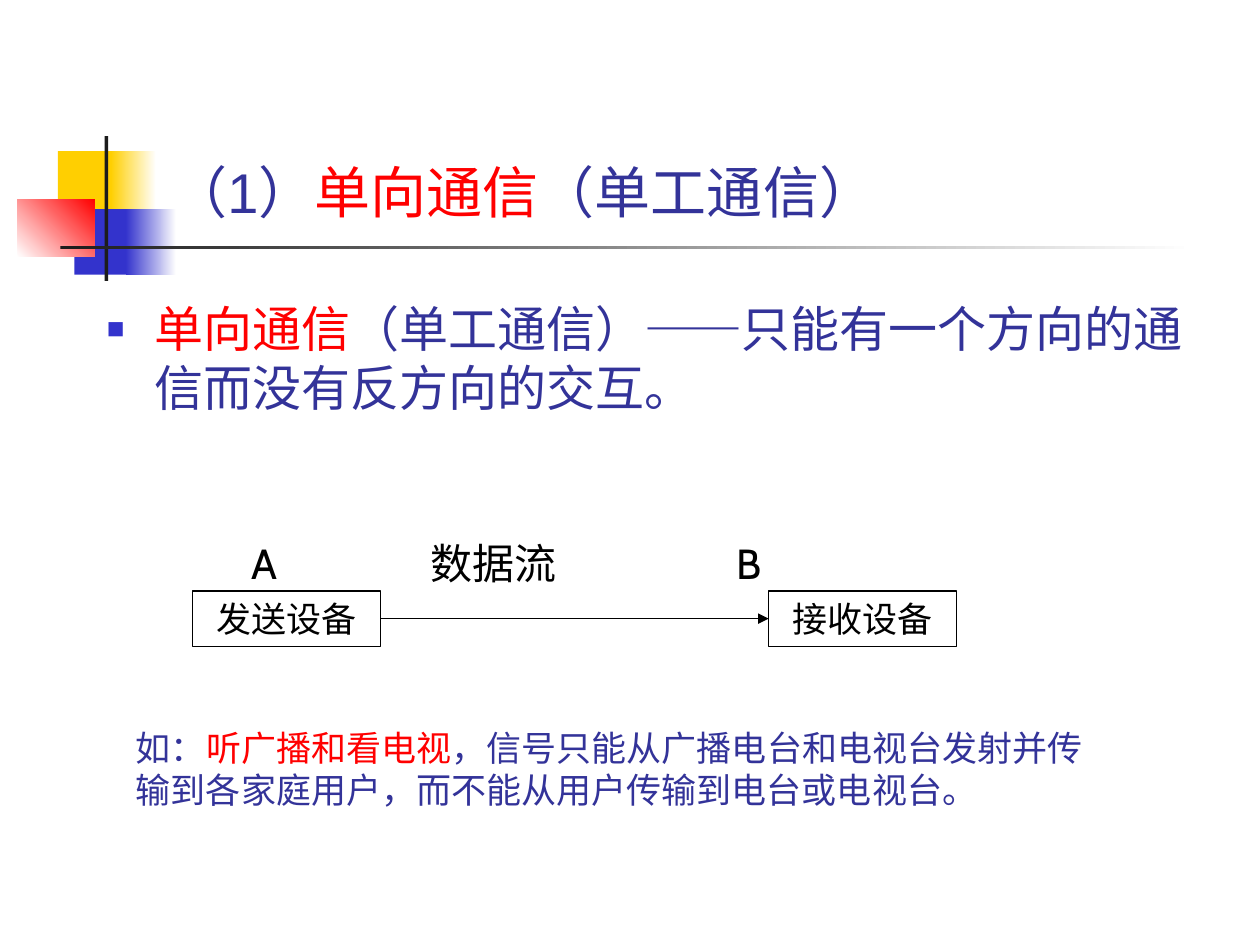
from typing import NamedTuple, Optional

from lxml.etree import SubElement
from pptx import Presentation
from pptx.dml.color import RGBColor
from pptx.enum.shapes import MSO_CONNECTOR, MSO_SHAPE
from pptx.enum.text import MSO_ANCHOR, MSO_AUTO_SIZE, PP_ALIGN
from pptx.oxml.ns import qn
from pptx.util import Inches, Pt

COLORS = {
    "yellow": "FFCF01", "blue": "3333CC", "red": "FF0000", "dark": "1C1C1C",
    "white": "FFFFFF", "navy": "333399", "black": "000000",
}


class Block(NamedTuple):
    """A decorative rectangle; end makes it a gradient."""
    left: float
    top: float
    width: float
    height: float
    start: str
    end: Optional[str] = None
    angle: int = 0


class Run(NamedTuple):
    text: str
    color: str


class Device(NamedTuple):
    text: str
    left: float


BLOCKS = [
    Block(0.46, 1.2, 0.48, 0.52, "yellow"),
    Block(0.88, 1.2, 0.36, 0.52, "yellow", "white"),
    Block(0.59, 1.66, 0.46, 0.52, "blue"),
    Block(1, 1.66, 0.4, 0.52, "blue", "white"),
    Block(0.14, 1.58, 0.61, 0.46, "white", "red", 45),
    Block(0.83, 1.08, 0.03, 1.15, "dark"),
    Block(0.48, 1.95, 9, 0.03, "dark", "white"),
]
DEVICES = [Device("发送设备", 1.53), Device("接收设备", 6.1)]
LABEL_STOPS = [0.37, 1.79, 4.22]


def rgb(name: str) -> RGBColor:
    return RGBColor.from_string(COLORS[name])


def draw_block(slide, block: Block) -> None:
    shape = slide.shapes.add_shape(
        MSO_SHAPE.RECTANGLE, Inches(block.left), Inches(block.top),
        Inches(block.width), Inches(block.height))
    shape.shadow.inherit = False
    shape.line.fill.background()
    if block.end is None:
        shape.fill.solid()
        shape.fill.fore_color.rgb = rgb(block.start)
        return
    shape.fill.gradient()
    shape.fill.gradient_angle = block.angle
    for stop, name in zip(shape.fill.gradient_stops, (block.start, block.end)):
        stop.color.rgb = rgb(name)


def write_runs(paragraph, runs: list[Run], size: int, font: str) -> None:
    paragraph.font.size = Pt(size)
    paragraph.font.name = font
    for part in runs:
        run = paragraph.add_run()
        run.text = part.text
        run.font.color.rgb = rgb(part.color)


def add_text(slide, left: float, top: float, width: float, height: float):
    """Add a wrapping text box and return its first paragraph."""
    box = slide.shapes.add_textbox(
        Inches(left), Inches(top), Inches(width), Inches(height))
    box.text_frame.word_wrap = True
    return box.text_frame.paragraphs[0]


def add_bullet(paragraph) -> None:
    properties = paragraph._p.get_or_add_pPr()
    properties.set("marL", str(Inches(0.38)))
    properties.set("indent", str(Inches(-0.38)))
    color = SubElement(properties, qn("a:buClr"))
    SubElement(color, qn("a:srgbClr"), val=COLORS["blue"])
    SubElement(properties, qn("a:buSzPct"), val="60000")
    SubElement(properties, qn("a:buFont"), typeface="Arial")
    SubElement(properties, qn("a:buChar"), char="■")


def add_tab_stops(paragraph, stops: list[float]) -> None:
    tabs = SubElement(paragraph._p.get_or_add_pPr(), qn("a:tabLst"))
    for stop in stops:
        SubElement(tabs, qn("a:tab"), pos=str(Inches(stop)), algn="l")


def draw_device(slide, device: Device):
    shape = slide.shapes.add_shape(
        MSO_SHAPE.RECTANGLE, Inches(device.left), Inches(4.69),
        Inches(1.49), Inches(0.44))
    shape.shadow.inherit = False
    shape.fill.background()
    shape.line.color.rgb = rgb("black")
    shape.line.width = Pt(0.75)
    shape.text_frame.vertical_anchor = MSO_ANCHOR.MIDDLE
    paragraph = shape.text_frame.paragraphs[0]
    paragraph.alignment = PP_ALIGN.CENTER
    write_runs(paragraph, [Run(device.text, "black")], 20, "Cabin")
    return shape


def draw_arrow(slide, sender, receiver) -> None:
    arrow = slide.shapes.add_connector(MSO_CONNECTOR.STRAIGHT, 0, 0, 0, 0)
    arrow.begin_connect(sender, 3)
    arrow.end_connect(receiver, 1)
    arrow.line.color.rgb = rgb("black")
    arrow.line.width = Pt(0.75)
    SubElement(arrow.line._get_or_add_ln(), qn("a:tailEnd"), type="triangle")
    SubElement(arrow._element.spPr, qn("a:effectLst"))


def main() -> None:
    presentation = Presentation()
    presentation.slide_width = Inches(10)
    presentation.slide_height = Inches(7.5)
    slide = presentation.slides.add_slide(presentation.slide_layouts[5])

    # Corner decoration
    for block in BLOCKS:
        draw_block(slide, block)

    # Title
    title = slide.shapes.title
    title.left, title.top = Inches(1.26), Inches(0.23)
    title.width, title.height = Inches(8.52), Inches(1.6)
    title.text_frame.vertical_anchor = MSO_ANCHOR.BOTTOM
    title.text_frame.auto_size = MSO_AUTO_SIZE.NONE
    heading = title.text_frame.paragraphs[0]
    heading.alignment = PP_ALIGN.LEFT
    write_runs(heading, [Run("（1）", "navy"), Run("单向通信", "red"),
                         Run("（单工通信）", "navy")], 32, "Arial")

    # Definition
    definition = add_text(slide, 0.75, 2.32, 8.89, 1.51)
    add_bullet(definition)
    write_runs(definition, [
        Run("单向通信", "red"),
        Run("（单工通信）——只能有一个方向的通信而没有反方向的交互。", "navy"),
    ], 28, "Arial")

    # Diagram: labels, devices and data flow
    labels = add_text(slide, 1.53, 4.22, 6.77, 0.5)
    add_tab_stops(labels, LABEL_STOPS)
    write_runs(labels, [Run("\tA\t数据流\tB", "black")], 24, "Cabin")
    sender, receiver = [draw_device(slide, device) for device in DEVICES]
    draw_arrow(slide, sender, receiver)

    # Example
    example = add_text(slide, 0.98, 5.72, 7.88, 0.77)
    write_runs(example, [
        Run("如：", "navy"),
        Run("听广播和看电视", "red"),
        Run("，信号只能从广播电台和电视台发射并传输到各家庭用户，"
            "而不能从用户传输到电台或电视台。", "navy"),
    ], 20, "Cabin")

    presentation.save("out.pptx")


if __name__ == "__main__":
    main()
